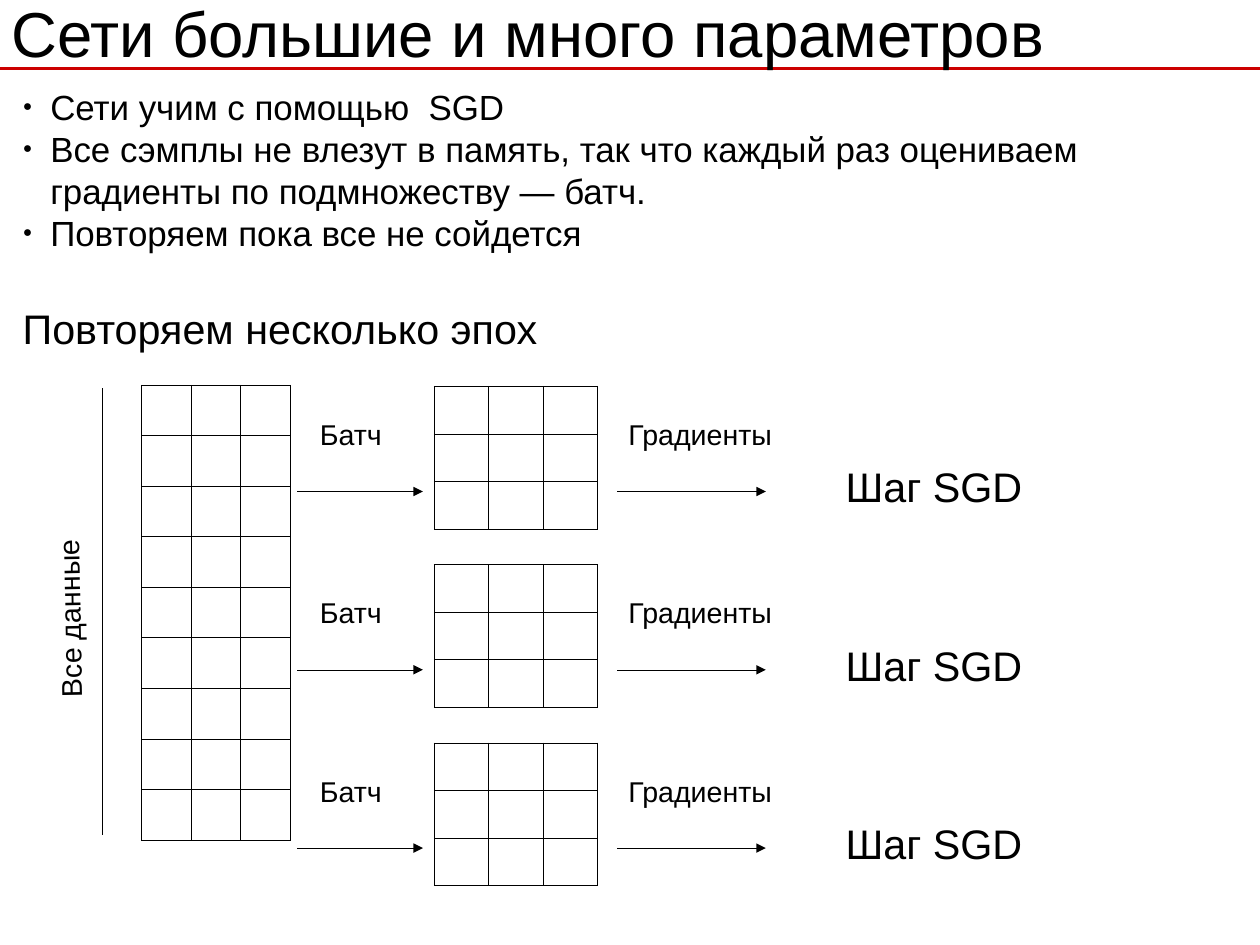
from lxml import etree
from pptx import Presentation
from pptx.dml.color import RGBColor
from pptx.enum.shapes import MSO_CONNECTOR
from pptx.enum.text import MSO_ANCHOR, MSO_AUTO_SIZE, PP_ALIGN
from pptx.oxml.ns import qn
from pptx.util import Inches, Pt

STRAIGHT = MSO_CONNECTOR.STRAIGHT
LEFT = PP_ALIGN.LEFT
TOP, MIDDLE = MSO_ANCHOR.TOP, MSO_ANCHOR.MIDDLE
NO_AUTOFIT = MSO_AUTO_SIZE.NONE
BLACK = RGBColor(0x00, 0x00, 0x00)
RED = RGBColor(0xCC, 0x00, 0x00)
FONT = "Arial"

# Content
TITLE = "Сети большие и много параметров"
POINTS = [
    "Сети учим с помощью  SGD",
    "Все сэмплы не влезут в память, так что каждый раз оцениваем "
    "градиенты по подмножеству — батч.",
    "Повторяем пока все не сойдется",
]
EPOCHS = "Повторяем несколько эпох"
ALL_DATA = "Все данные"
BATCH, GRADIENTS, SGD_STEP = "Батч", "Градиенты", "Шаг SGD"

# Layout, in inches; the slide is 28 by 21 cm
SLIDE_W, SLIDE_H = 28 / 2.54, 21 / 2.54
COLUMNS, BATCH_ROWS, BATCH_COUNT = 3, 3, 3
BATCH_TOP, BATCH_PITCH = 3.38, 1.56


def write(paragraph, text, size):
    paragraph.alignment = LEFT
    run = paragraph.add_run()
    run.text = text
    run.font.size = Pt(size)
    run.font.name = FONT
    run.font.color.rgb = BLACK


def place(shape, left, top, width, height):
    shape.left, shape.top = Inches(left), Inches(top)
    shape.width, shape.height = Inches(width), Inches(height)


def add_label(text, size, left, top, width, height, rotation=0):
    label = slide.shapes.add_textbox(
        Inches(left), Inches(top), Inches(width), Inches(height))
    label.rotation = rotation
    label.text_frame.word_wrap = True
    write(label.text_frame.paragraphs[0], text, size)


def add_line(x1, y1, x2, y2, color=BLACK, width=0, arrow=False):
    line = slide.shapes.add_connector(
        STRAIGHT, Inches(x1), Inches(y1), Inches(x2), Inches(y2))
    line.line.color.rgb = color
    outline = line.line._get_or_add_ln()
    outline.set("w", str(Pt(width)))  # a hairline needs an explicit zero
    if arrow:
        etree.SubElement(outline, qn("a:tailEnd"), type="triangle")
    etree.SubElement(line._element.spPr, qn("a:effectLst"))
    return line


def add_border(cell):
    properties = cell._tc.get_or_add_tcPr()
    for side in ("a:lnL", "a:lnR", "a:lnT", "a:lnB"):
        edge = etree.SubElement(properties, qn(side), w=str(Pt(0.57)))
        fill = etree.SubElement(edge, qn("a:solidFill"))
        etree.SubElement(fill, qn("a:srgbClr"), val=str(BLACK))


def add_grid(rows, left, top, width, height):
    grid = slide.shapes.add_table(
        rows, COLUMNS, Inches(left), Inches(top), Inches(width), Inches(height)).table
    grid.first_row = grid.horz_banding = False
    for cell in grid.iter_cells():
        add_border(cell)
        cell.fill.background()


def add_bullet(paragraph):
    properties = paragraph._p.get_or_add_pPr()
    properties.set("marL", str(Inches(0.24)))
    properties.set("indent", str(Inches(-0.24)))
    color = etree.SubElement(properties, qn("a:buClr"))
    etree.SubElement(color, qn("a:srgbClr"), val=str(BLACK))
    etree.SubElement(properties, qn("a:buSzPct"), val="45000")
    etree.SubElement(properties, qn("a:buFont"), typeface=FONT)
    etree.SubElement(properties, qn("a:buChar"), char="●")


prs = Presentation()
prs.slide_width, prs.slide_height = Inches(SLIDE_W), Inches(SLIDE_H)
slide = prs.slides.add_slide(prs.slide_layouts[1])

# Title with the red rule behind it
title = slide.shapes.title
place(title, 0.1, -0.04, 9.5, 0.64)
heading = title.text_frame
heading.margin_left = heading.margin_right = 0
heading.margin_top = heading.margin_bottom = 0
heading.vertical_anchor = MIDDLE
heading.auto_size = NO_AUTOFIT
write(heading.paragraphs[0], TITLE, 40)
rule = add_line(0, 0.6, SLIDE_W, 0.6, RED, 1.5)
slide.shapes._spTree.insert(2, rule._element)

# Bullet points
body = slide.placeholders[1]
place(body, 0.1, 0.7, 10.92, 1.81)
points = body.text_frame
points.auto_size = NO_AUTOFIT
points.vertical_anchor = TOP
for index, point in enumerate(POINTS):
    paragraph = points.add_paragraph() if index else points.paragraphs[0]
    paragraph.space_before = Pt(0)
    write(paragraph, point, 22)
    add_bullet(paragraph)

# Whole data set
add_label(EPOCHS, 26, 0.1, 2.6, 6.6, 0.5)
add_grid(BATCH_ROWS * BATCH_COUNT, 1.24, 3.37, 1.3, 3.98)
add_line(0.9, 3.4, 0.9, 7.3)
add_label(ALL_DATA, 18, -0.56, 4.86, 2.3, 0.38, rotation=268.9)

# One row per batch: data -> batch -> gradients -> step
for index in range(BATCH_COUNT):
    top = BATCH_TOP + index * BATCH_PITCH
    arrow_y = top + 0.92
    add_grid(BATCH_ROWS, 3.8, top, 1.43, 1.25)
    add_line(2.6, arrow_y, 3.7, arrow_y, arrow=True)
    add_label(BATCH, 18, 2.7, top + 0.22, 0.8, 0.38)
    add_line(5.4, arrow_y, 6.7, arrow_y, arrow=True)
    add_label(GRADIENTS, 18, 5.4, top + 0.22, 1.5, 0.94)
    add_label(SGD_STEP, 26, 7.3, top + 0.61, 2.8, 0.5)

prs.save("out.pptx")
